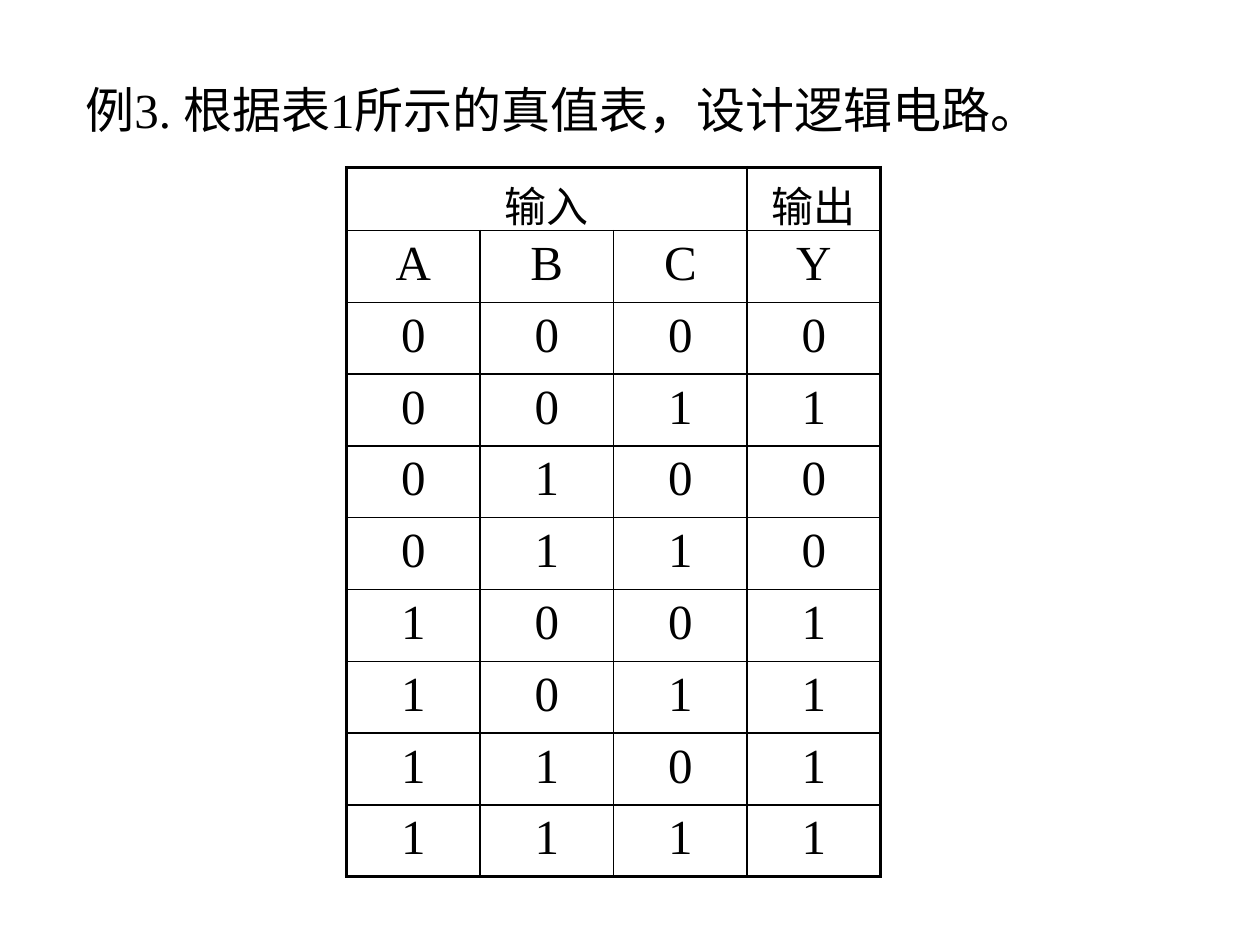
"""Build a slide with a truth table for a logic circuit exercise."""
import lxml.etree
import pptx
import pptx.enum.text
import pptx.util
from pptx.oxml.ns import qn

TITLE = "例3. 根据表1所示的真值表，设计逻辑电路。"
HEADERS = [["输入", "", "", "输出"], ["A", "B", "C", "Y"]]
OUTPUTS = "01001111"
ROWS = HEADERS + [[*f"{number:03b}", output] for number, output in enumerate(OUTPUTS)]

COLORS = {"ink": "000000", "paper": "FFFFFF"}
FONT = "Times New Roman"
HEADER_SIZE, BODY_SIZE = 24, 28
OUTER_LINE, INNER_LINE = 2.25, 1
HEADER_HEIGHT, ROW_HEIGHT, COLUMN_WIDTH = 0.5, 0.57, 1.06


def format_text(frame, size, space_percent, alignment=None):
    paragraph = frame.paragraphs[0]
    paragraph.alignment = alignment
    spacing = lxml.etree.SubElement(paragraph._p.get_or_add_pPr(), qn("a:spcBef"))
    lxml.etree.SubElement(spacing, qn("a:spcPct"), val=str(space_percent * 1000))
    for run in paragraph.runs:
        run.font.name = FONT
        run.font.size = pptx.util.Pt(size)
        run.font.color.rgb = pptx.dml.color.RGBColor.from_string(COLORS["ink"])


def draw_borders(cell, outer_sides):
    properties = cell._tc.get_or_add_tcPr()
    for position, side in enumerate("LRTB"):
        width = OUTER_LINE if outer_sides[side] else INNER_LINE
        border = lxml.etree.Element(qn(f"a:ln{side}"), w=str(pptx.util.Pt(width)))
        fill = lxml.etree.SubElement(border, qn("a:solidFill"))
        lxml.etree.SubElement(fill, qn("a:srgbClr"), val=COLORS["ink"])
        properties.insert(position, border)


def add_title(slide):
    title = slide.shapes.add_textbox(*map(pptx.util.Inches, (0.58, 0.58, 8.83, 0.57)))
    title.text_frame.word_wrap = True
    title.text_frame.auto_size = pptx.enum.text.MSO_AUTO_SIZE.SHAPE_TO_FIT_TEXT
    title.text_frame.text = TITLE
    format_text(title.text_frame, BODY_SIZE, 50)


def add_truth_table(slide):
    last_row, last_column = len(ROWS) - 1, len(ROWS[0]) - 1
    size = (COLUMN_WIDTH * len(ROWS[0]), HEADER_HEIGHT + ROW_HEIGHT * last_row)
    frame = slide.shapes.add_table(
        len(ROWS), len(ROWS[0]), *map(pptx.util.Inches, (2.75, 1.33, *size)))
    table = frame.table
    table.first_row = table.horz_banding = False
    for column in table.columns:
        column.width = pptx.util.Inches(COLUMN_WIDTH)
    table.cell(0, 0).merge(table.cell(0, 2))
    for r, values in enumerate(ROWS):
        table.rows[r].height = pptx.util.Inches(ROW_HEIGHT if r else HEADER_HEIGHT)
        for c, value in enumerate(values):
            cell = table.cell(r, c)
            cell.fill.background()
            draw_borders(cell, {"L": c == 0, "R": c == last_column,
                                "T": r == 0, "B": r == last_row})
            if value:
                cell.text_frame.text = value
                format_text(cell.text_frame, BODY_SIZE if r else HEADER_SIZE, 20,
                            pptx.enum.text.PP_ALIGN.CENTER)


def main():
    deck = pptx.Presentation()
    deck.slide_width, deck.slide_height = pptx.util.Inches(10), pptx.util.Inches(7.5)
    slide = deck.slides.add_slide(deck.slide_layouts[6])
    background = slide.background.fill
    background.solid()
    background.fore_color.rgb = pptx.dml.color.RGBColor.from_string(COLORS["paper"])
    add_title(slide)
    add_truth_table(slide)
    deck.save("out.pptx")


if __name__ == "__main__":
    main()
